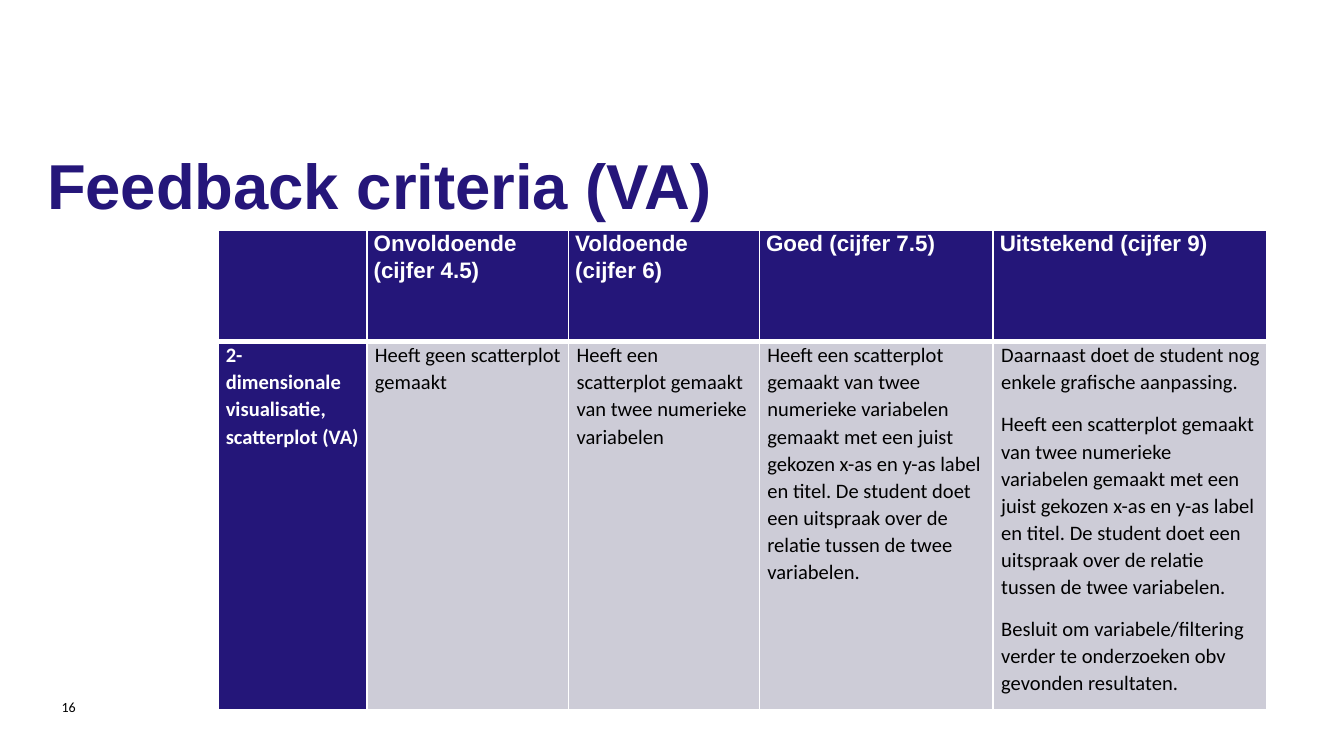
from lxml.etree import SubElement
from pptx import Presentation
from pptx.dml.color import RGBColor
from pptx.enum.text import MSO_ANCHOR
from pptx.oxml.ns import qn
from pptx.util import Inches, Pt

HUES = {"title": "25167A", "head": "241679", "body": "CDCCD7",
        "white": "FFFFFF", "black": "000000"}
FONTS = {
    "title": {"name": "Arial", "size": Pt(34), "bold": True, "hue": "title"},
    "head": {"name": "Arial", "size": Pt(12), "bold": True, "hue": "white"},
    "side": {"name": "Calibri", "size": Pt(11), "bold": True, "hue": "white"},
    "body": {"name": "Calibri", "size": Pt(11), "bold": False, "hue": "black"},
    "page": {"name": "Calibri", "size": Pt(7.5), "bold": False, "hue": "black"},
}
SIDES = ("lnL", "lnR", "lnT", "lnB")
COLS = (1.11, 1.5, 1.42, 1.74, 2.04)
ROWS = (0.83, 2.74)
PLOT = "Heeft een scatterplot gemaakt van twee numerieke variabelen"
FULL = (PLOT + " gemaakt met een juist gekozen x-as en y-as label en titel. "
        "De student doet een uitspraak over de relatie tussen de twee variabelen.")
HEADS = ("", "Onvoldoende (cijfer 4.5)", "Voldoende (cijfer 6)",
         "Goed (cijfer 7.5)", "Uitstekend (cijfer 9)")
BODY = (
    "2- dimensionale visualisatie, scatterplot (VA)",
    "Heeft geen scatterplot gemaakt",
    PLOT,
    FULL,
    "\n".join((
        "Daarnaast doet de student nog enkele grafische aanpassing.",
        FULL,
        "Besluit om variabele/filtering verder te onderzoeken obv gevonden resultaten.",
    )),
)


def put_text(frame, text, kind, **form):
    """Fill a text frame, one paragraph per line, in the given style."""
    frame.text = text
    for para in frame.paragraphs:
        for key, val in form.items():
            setattr(para, key, val)
        for key, val in FONTS[kind].items():
            if key == "hue":
                para.font.color.rgb = RGBColor.from_string(HUES[val])
            else:
                setattr(para.font, key, val)


def add_text(slide, box, text, kind, **form):
    """Place a text box with the given frame settings."""
    frame = slide.shapes.add_textbox(*map(Inches, box)).text_frame
    for key, val in {"word_wrap": True, **form}.items():
        setattr(frame, key, val)
    put_text(frame, text, kind)


def add_lines(cell, row):
    """Draw white cell borders, thick between the header and the body."""
    props = cell._tc.get_or_add_tcPr()
    for side in SIDES:
        thick = (row, side) in ((0, "lnB"), (1, "lnT"))
        line = SubElement(props, qn("a:" + side), w=str(Pt(3 if thick else 1)))
        fill = SubElement(line, qn("a:solidFill"))
        SubElement(fill, qn("a:srgbClr"), val=HUES["white"])


def set_cell(cell, text, row, col):
    """Style one cell by its place in the grid."""
    kind = "head" if row == 0 else "side" if col == 0 else "body"
    form = {"margin_left": Inches(0.06 if row else 0.05),
            "margin_right": Inches(0.05),
            "margin_top": 0, "margin_bottom": 0}
    for key, val in form.items():
        setattr(cell, key, val)
    add_lines(cell, row)
    cell.fill.solid()
    tone = "body" if kind == "body" else "head"
    cell.fill.fore_color.rgb = RGBColor.from_string(HUES[tone])
    put_text(cell.text_frame, text, kind, line_spacing=1.07,
             space_after=Pt(8 if row else 0))


def add_grid(slide, box):
    """Place the table of grading criteria."""
    table = slide.shapes.add_table(len(ROWS), len(COLS), *map(Inches, box)).table
    for col, width in zip(table.columns, COLS):
        col.width = Inches(width)
    for row, height in zip(table.rows, ROWS):
        row.height = Inches(height)
    for row, texts in enumerate((HEADS, BODY)):
        for col, text in enumerate(texts):
            set_cell(table.cell(row, col), text, row, col)


def main():
    """Build and save the slide."""
    deck = Presentation()
    deck.slide_width = Inches(10)
    deck.slide_height = deck.slide_width * 9 // 16
    slide = deck.slides.add_slide(deck.slide_layouts[6])
    add_text(slide, (0.35, 1.09, 9.29, 1.21), "Feedback criteria (VA)", "title",
             margin_left=0, margin_right=0, margin_top=0, margin_bottom=0)
    add_grid(slide, (1.62, 1.71, sum(COLS), sum(ROWS)))
    add_text(slide, (0.36, 5.11, 0.39, 0.3), "16", "page",
             vertical_anchor=MSO_ANCHOR.MIDDLE)
    deck.save("out.pptx")


if __name__ == "__main__":
    main()
